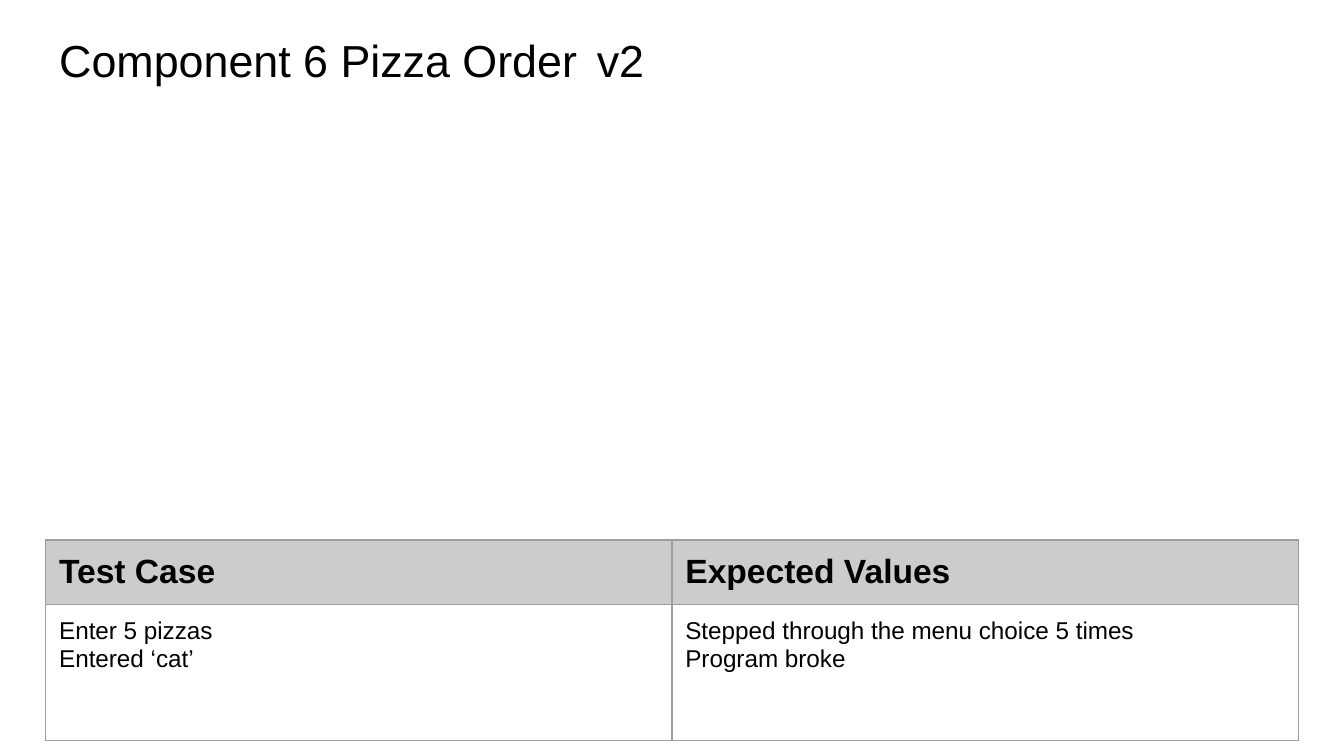
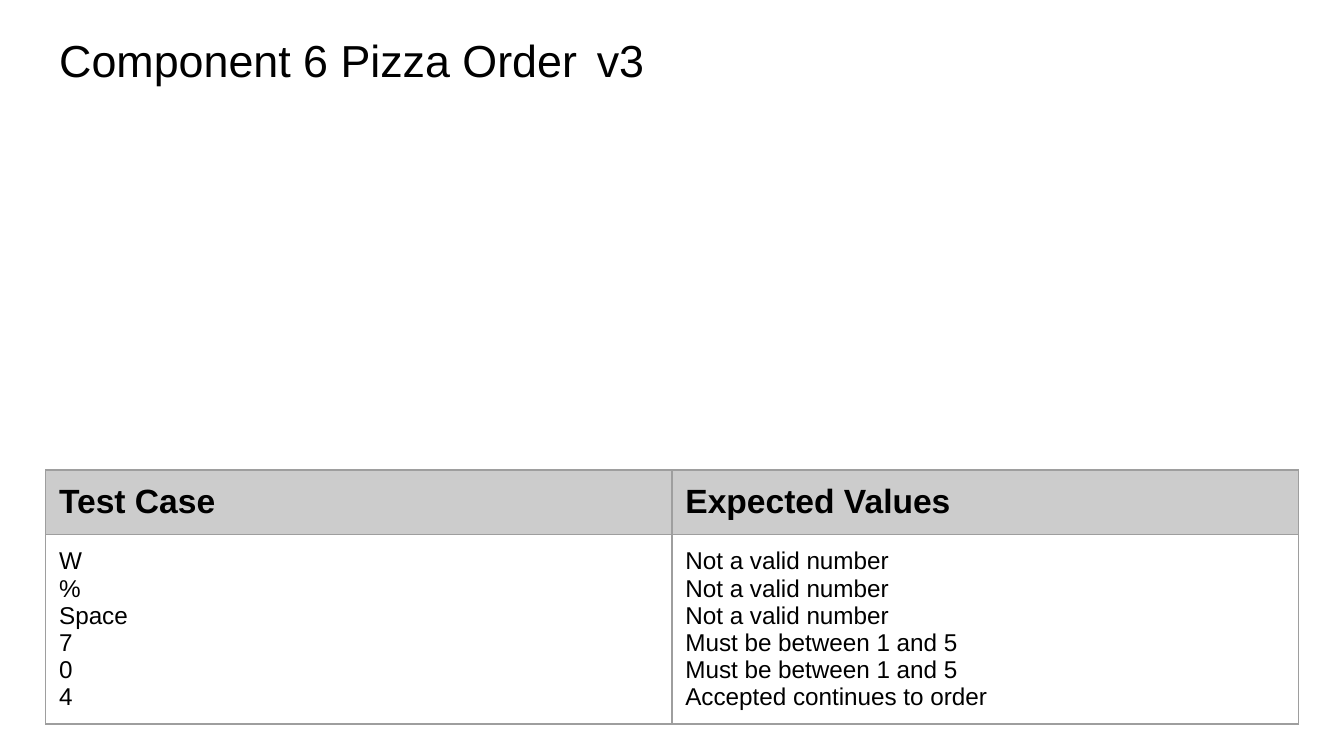
from dataclasses import dataclass

from pptx import Presentation
from pptx.dml.color import RGBColor
from pptx.enum.text import MSO_ANCHOR, MSO_AUTO_SIZE, PP_ALIGN
from pptx.oxml.ns import qn
from pptx.util import Pt
from lxml import etree

MIDDLE = MSO_ANCHOR.MIDDLE
TOP = MSO_ANCHOR.TOP
LEFT = PP_ALIGN.LEFT
NO_FIT = MSO_AUTO_SIZE.NONE
TITLE_ONLY = 5


@dataclass(frozen=True)
class Theme:
    """Hold the colours, type sizes and shared measures."""
    font: str = "Arial"
    ink: str = "000000"
    paper: str = "FFFFFF"
    band: str = "CCCCCC"
    rule: str = "9E9E9E"
    title: float = 24
    head: float = 18
    body: float = 13
    line: float = 0.75
    left: float = 24.5
    width: float = 671
    inset: float = 7.2
    head_row: float = 34.6


THEME = Theme()
HEADS = ("Test Case", "Expected Values")
SLIDES = (
    ("v2", 289.3, 72.8, (
        ("Enter 5 pizzas", "Stepped through the menu choice 5 times"),
        ("Entered ‘cat’", "Program broke"),
    )),
    ("v3", 251.8, 101, (
        ("W", "Not a valid number"),
        ("%", "Not a valid number"),
        ("Space", "Not a valid number"),
        ("7", "Must be between 1 and 5"),
        ("0", "Must be between 1 and 5"),
        ("4", "Accepted continues to order"),
    )),
)


def style(frame, size, bold=False):
    """Format every run in a text frame."""
    for para in frame.paragraphs:
        para.alignment = LEFT
        for run in para.runs:
            font = run.font
            font.name, font.size, font.bold = THEME.font, Pt(size), bold
            font.color.rgb = RGBColor.from_string(THEME.ink)


def pad(box):
    """Give a cell or text frame equal insets."""
    for side in ("left", "right", "top", "bottom"):
        setattr(box, f"margin_{side}", Pt(THEME.inset))


def edge(cell):
    """Draw the four borders of a cell."""
    props = cell._tc.get_or_add_tcPr()
    for side in ("lnL", "lnR", "lnT", "lnB"):
        line = etree.SubElement(props, qn(f"a:{side}"), w=str(Pt(THEME.line)))
        fill = etree.SubElement(line, qn("a:solidFill"))
        etree.SubElement(fill, qn("a:srgbClr"), val=THEME.rule)


def fill_cell(cell, text, size, color, bold=False):
    """Write and format one table cell."""
    cell.text_frame.text = text
    style(cell.text_frame, size, bold)
    pad(cell)
    cell.vertical_anchor = TOP
    edge(cell)
    cell.fill.solid()
    cell.fill.fore_color.rgb = RGBColor.from_string(color)


def add_title(slide, text):
    """Place and format the slide title."""
    title = slide.shapes.title
    title.left, title.top = Pt(THEME.left), Pt(9.4)
    title.width, title.height = Pt(THEME.width), Pt(45.4)
    frame = title.text_frame
    frame.text = text
    frame.word_wrap = True
    frame.auto_size = NO_FIT
    frame.vertical_anchor = MIDDLE
    pad(frame)
    style(frame, THEME.title)


def add_tests(slide, top, depth, tests):
    """Add the table of test cases and expected values."""
    shape = slide.shapes.add_table(
        2, len(HEADS), Pt(THEME.left), Pt(top),
        Pt(THEME.width), Pt(THEME.head_row + depth))
    table = shape.table
    table.first_row = table.horz_banding = False
    table.rows[0].height = Pt(THEME.head_row)
    table.rows[1].height = Pt(depth)
    for col, (head, items) in enumerate(zip(HEADS, zip(*tests))):
        fill_cell(table.cell(0, col), head, THEME.head, THEME.band, True)
        fill_cell(table.cell(1, col), "\n".join(items), THEME.body, THEME.paper)


def main():
    """Build and save the deck."""
    deck = Presentation()
    deck.slide_width, deck.slide_height = Pt(720), Pt(405)
    for label, top, depth, tests in SLIDES:
        slide = deck.slides.add_slide(deck.slide_layouts[TITLE_ONLY])
        add_title(slide, f"Component 6 Pizza Order\t{label}")
        add_tests(slide, top, depth, tests)
    deck.save("out.pptx")


if __name__ == "__main__":
    main()
